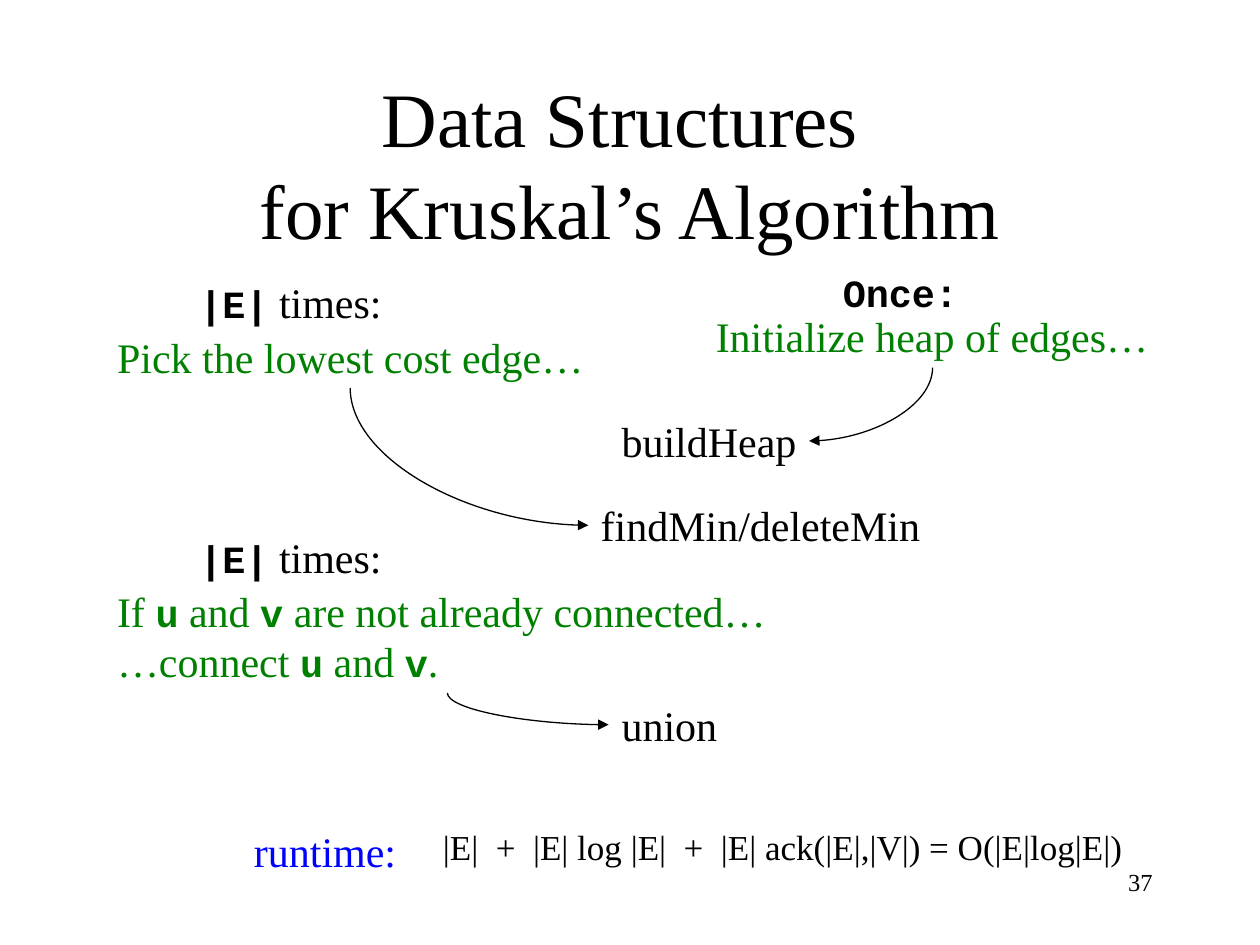
from dataclasses import dataclass

from lxml.etree import SubElement
from pptx import Presentation
from pptx.dml.color import RGBColor
from pptx.enum.shapes import MSO_CONNECTOR
from pptx.enum.text import MSO_ANCHOR, MSO_AUTO_SIZE, PP_ALIGN
from pptx.oxml.ns import qn
from pptx.slide import Slide
from pptx.util import Cm, Pt

BLACK = RGBColor(0x00, 0x00, 0x00)
GREEN = RGBColor(0x00, 0x80, 0x00)
BLUE = RGBColor(0x00, 0x00, 0xFF)
BODY_FONT = "Times New Roman"
CODE_FONT = "Courier New"
CODE_SIZE = 22


@dataclass
class Label:
    """Text at a place in centimetres; `code` stands between backticks."""
    text: str
    left: float
    top: float
    width: float
    height: float = 1.27
    color: RGBColor = BLACK


@dataclass
class Arrow:
    """Curve that leaves vertically and arrives horizontally."""
    start: tuple[float, float]
    end: tuple[float, float]


LABELS = [
    # Steps of the algorithm
    Label("Pick the lowest cost edge…", 2.11, 6.55, 10, color=GREEN),
    Label("If `u` and `v` are not already connected…\n…connect `u` and `v`.",
          2.11, 11.68, 13.9, 2.29, GREEN),
    Label("Initialize heap of edges…", 14.18, 6.14, 9.35, color=GREEN),
    # How often each step runs
    Label("`|E|` times:", 3.77, 5.44, 4.3),
    Label("`|E|` times:", 3.77, 10.58, 4.3),
    Label("`Once:`", 16.74, 5.29, 2.95, 1.19),
    # Data structure operations
    Label("buildHeap", 12.28, 8.26, 4.15),
    Label("findMin/deleteMin", 11.86, 9.95, 7.05),
    Label("union", 12.28, 13.97, 2.55),
    # Runtime caption
    Label("runtime:", 4.87, 16.51, 3.5, color=BLUE),
]

ARROWS = [
    Arrow((7.06, 7.82), (11.86, 10.59)),
    Arrow((9.02, 13.97), (12.27, 14.61)),
    Arrow((18.8, 7.41), (16.31, 8.89)),
]


def add_label(slide: Slide, label: Label, *, size: float = 24,
              align: PP_ALIGN = PP_ALIGN.LEFT, anchor: MSO_ANCHOR = MSO_ANCHOR.TOP,
              wrap: bool = False, grow: bool = True, space_before: float = 0) -> None:
    shape = slide.shapes.add_textbox(Cm(label.left), Cm(label.top),
                                     Cm(label.width), Cm(label.height))
    frame = shape.text_frame
    frame.word_wrap = wrap
    frame.auto_size = MSO_AUTO_SIZE.SHAPE_TO_FIT_TEXT if grow else MSO_AUTO_SIZE.NONE
    frame.vertical_anchor = anchor
    frame.text = label.text
    for paragraph in frame.paragraphs:
        paragraph.alignment = align
        paragraph.space_before = Pt(space_before)
        pieces = paragraph.text.split("`")
        paragraph.clear()
        for index, piece in enumerate(pieces):
            for number, line in enumerate(piece.split("\v")):
                if number:
                    paragraph.add_line_break()
                if not line:
                    continue
                is_code = index % 2 == 1
                run = paragraph.add_run()
                run.text = line
                run.font.name = CODE_FONT if is_code else BODY_FONT
                run.font.size = Pt(CODE_SIZE if is_code else size)
                run.font.bold = is_code
                run.font.color.rgb = label.color


def add_arrow(slide: Slide, arrow: Arrow) -> None:
    (start_x, start_y), (end_x, end_y) = arrow.start, arrow.end
    # The quarter turn swaps width and height around the same centre
    center_x, center_y = (start_x + end_x) / 2, (start_y + end_y) / 2
    width, height = abs(end_y - start_y), abs(end_x - start_x)
    left, top = center_x - width / 2, center_y - height / 2
    connector = slide.shapes.add_connector(
        MSO_CONNECTOR.CURVE, Cm(left), Cm(top), Cm(left + width), Cm(top + height))
    connector.line.color.rgb = BLACK
    connector.line.width = Pt(0.75)
    properties = connector._element.spPr
    properties.find(qn("a:prstGeom")).set("prst", "curvedConnector2")
    transform = properties.find(qn("a:xfrm"))
    if end_x > start_x:
        transform.set("rot", str(270 * 60000))
        transform.set("flipH", "1")
    else:
        transform.set("rot", str(90 * 60000))
    SubElement(properties.find(qn("a:ln")), qn("a:tailEnd"), type="triangle")
    SubElement(properties, qn("a:effectLst"))


def main() -> None:
    presentation = Presentation()
    presentation.slide_width, presentation.slide_height = Cm(25.4), Cm(19.05)
    slide = presentation.slides.add_slide(presentation.slide_layouts[6])

    # Title
    add_label(slide, Label("Data Structures \vfor Kruskal’s Algorithm",
                           1.9, 1.69, 21.59, 3.18),
              size=44, align=PP_ALIGN.CENTER, anchor=MSO_ANCHOR.MIDDLE,
              wrap=True, grow=False)

    # Steps, operations and the arrows between them
    for label in LABELS:
        add_label(slide, label)
    for arrow in ARROWS:
        add_arrow(slide, arrow)

    # Runtime formula
    add_label(slide, Label("|E|  +  |E| log |E|  +  |E| ack(|E|,|V|) = O(|E|log|E|)",
                           8.68, 16.51, 16.71, 1.12),
              size=20, wrap=True, space_before=12.5)

    # Slide number
    add_label(slide, Label("37", 18.21, 17.35, 5.28),
              size=14, align=PP_ALIGN.RIGHT, wrap=True, grow=False)

    presentation.save("out.pptx")


if __name__ == "__main__":
    main()
